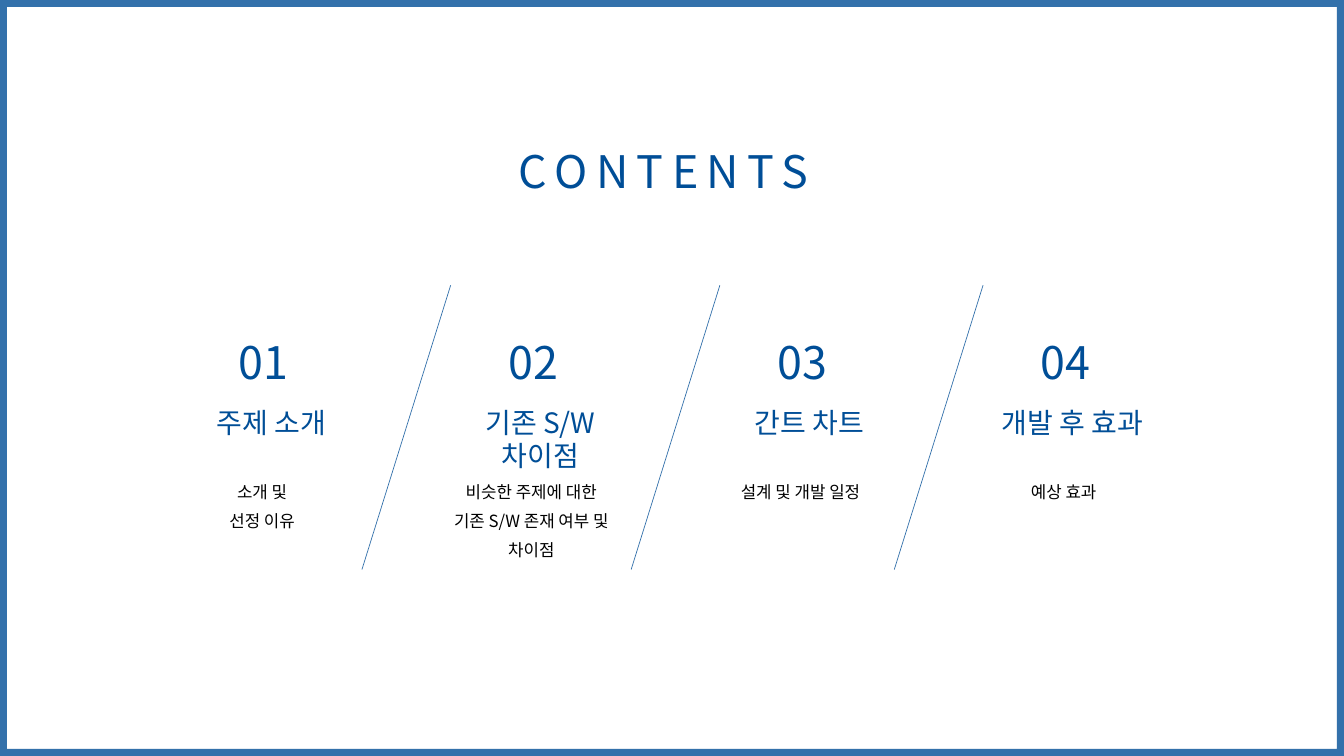
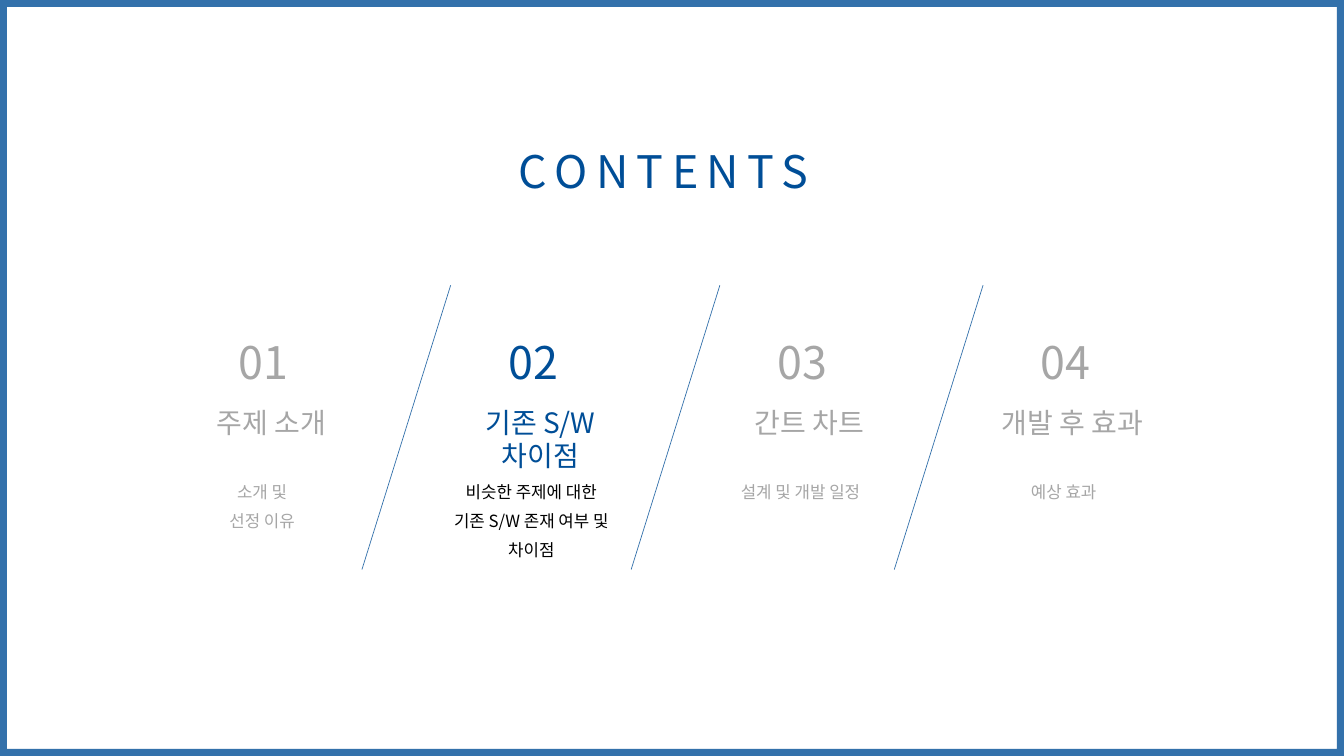
from pptx import Presentation
from pptx.dml.color import RGBColor
from pptx.enum.shapes import MSO_CONNECTOR, MSO_SHAPE
from pptx.enum.text import MSO_ANCHOR, MSO_AUTO_SIZE, PP_ALIGN
from pptx.oxml.ns import qn
from pptx.util import Inches, Pt
from lxml.etree import SubElement

FONT = "Noto Sans CJK KR"
COLORS = {"blue": "004E97", "black": "000000", "gray": "A6A6A6"}
WIDE, HIGH = 13.33, 7.5

# Columns: left edge, heading lines, detail lines
TOPICS = [
    (1.8, ["주제 소개"], ["소개 및", "선정 이유"]),
    (4.47, ["기존 S/W", "차이점"],
     ["비슷한 주제에 대한", "기존 S/W 존재 여부 및", "차이점"]),
    (7.14, ["간트 차트"], ["설계 및 개발 일정"]),
    (9.75, ["개발 후 효과"], ["예상 효과"]),
]
COL, SLANT = 1.78, 0.88


def rgb(name):
    return RGBColor.from_string(COLORS[name])


def set_line(line, width):
    """Blue line at 80 % opacity."""
    line.width = Pt(width)
    line.color.rgb = rgb("blue")
    color = line.fill._xPr.find(".//" + qn("a:srgbClr"))
    SubElement(color, qn("a:alpha"), val="80000")


def add_edge(run, color):
    """Thin outline around the letters."""
    props = run._r.get_or_add_rPr()
    edge = SubElement(props, qn("a:ln"), w=str(Pt(0.75)))
    fill = SubElement(edge, qn("a:solidFill"))
    SubElement(fill, qn("a:srgbClr"), val=COLORS[color])
    props.insert(0, edge)


def write(shape, lines, size, color, align=PP_ALIGN.CENTER, lead=None, gap=0):
    """Fill a box with one paragraph a line and return the runs."""
    frame = shape.text_frame
    frame.word_wrap = True
    frame.auto_size = MSO_AUTO_SIZE.NONE
    frame.vertical_anchor = MSO_ANCHOR.TOP
    frame.margin_left = frame.margin_right = 0
    frame.margin_top = frame.margin_bottom = 0
    runs = []
    for i, line in enumerate(lines):
        para = frame.add_paragraph() if i else frame.paragraphs[0]
        para.alignment = align
        if lead:
            para.line_spacing = lead
        if i and gap:
            para.space_before = Pt(gap)
        run = para.add_run()
        run.text = line
        run.font.size = Pt(size)
        run.font.name = FONT
        run.font.color.rgb = rgb(color)
        SubElement(run._r.get_or_add_rPr(), qn("a:ea"), typeface=FONT)
        runs.append(run)
    return runs


def add_text(slide, x, y, w, h, lines, size, color, **style):
    box = slide.shapes.add_textbox(Inches(x), Inches(y), Inches(w), Inches(h))
    return write(box, lines, size, color, **style)


def add_title(slide, text):
    title = slide.shapes.title
    title.left, title.top = Inches(1.21), Inches(1.43)
    title.width, title.height = Inches(10.74), Inches(0.54)
    for run in write(title, [text], 32, "blue"):
        run._r.get_or_add_rPr().set("spc", "600")


def add_frame(slide):
    frame = slide.shapes.add_shape(
        MSO_SHAPE.RECTANGLE, 0, 0, Inches(WIDE), Inches(HIGH))
    frame.shadow.inherit = False
    frame.fill.background()
    set_line(frame.line, 10)


def add_slash(slide, x):
    slash = slide.shapes.add_connector(
        MSO_CONNECTOR.STRAIGHT, Inches(x), Inches(2.83),
        Inches(x - SLANT), Inches(5.65))
    set_line(slash.line, 0.5)
    SubElement(slash._element.spPr, qn("a:effectLst"))


def add_topic(slide, num, topic, active):
    x, head, detail = topic
    main_color, text_color = ("blue", "black") if active else ("gray", "gray")
    if num > 1:
        add_slash(slide, x)
    runs = add_text(slide, x + 0.57, 3.32, 1.22, 0.54, [f"{num:02}"],
                    32, main_color, align=PP_ALIGN.LEFT)
    if active:
        add_edge(runs[0], main_color)
    add_text(slide, x, 4.02, COL, 0.34 * len(head), head, 20, main_color)
    add_text(slide, x - 0.09, 4.72, COL, 0.28 * len(detail), detail,
             12, text_color, lead=1.3, gap=2)


def add_contents(deck, active):
    """Contents slide with the given topic numbers highlighted."""
    slide = deck.slides.add_slide(deck.slide_layouts[5])
    add_frame(slide)
    add_title(slide, "CONTENTS")
    for num, topic in enumerate(TOPICS, 1):
        add_topic(slide, num, topic, num in active)


def main():
    deck = Presentation()
    deck.slide_width, deck.slide_height = Inches(WIDE), Inches(HIGH)
    add_contents(deck, {1, 2, 3, 4})
    add_contents(deck, {2})
    deck.save("out.pptx")


if __name__ == "__main__":
    main()
